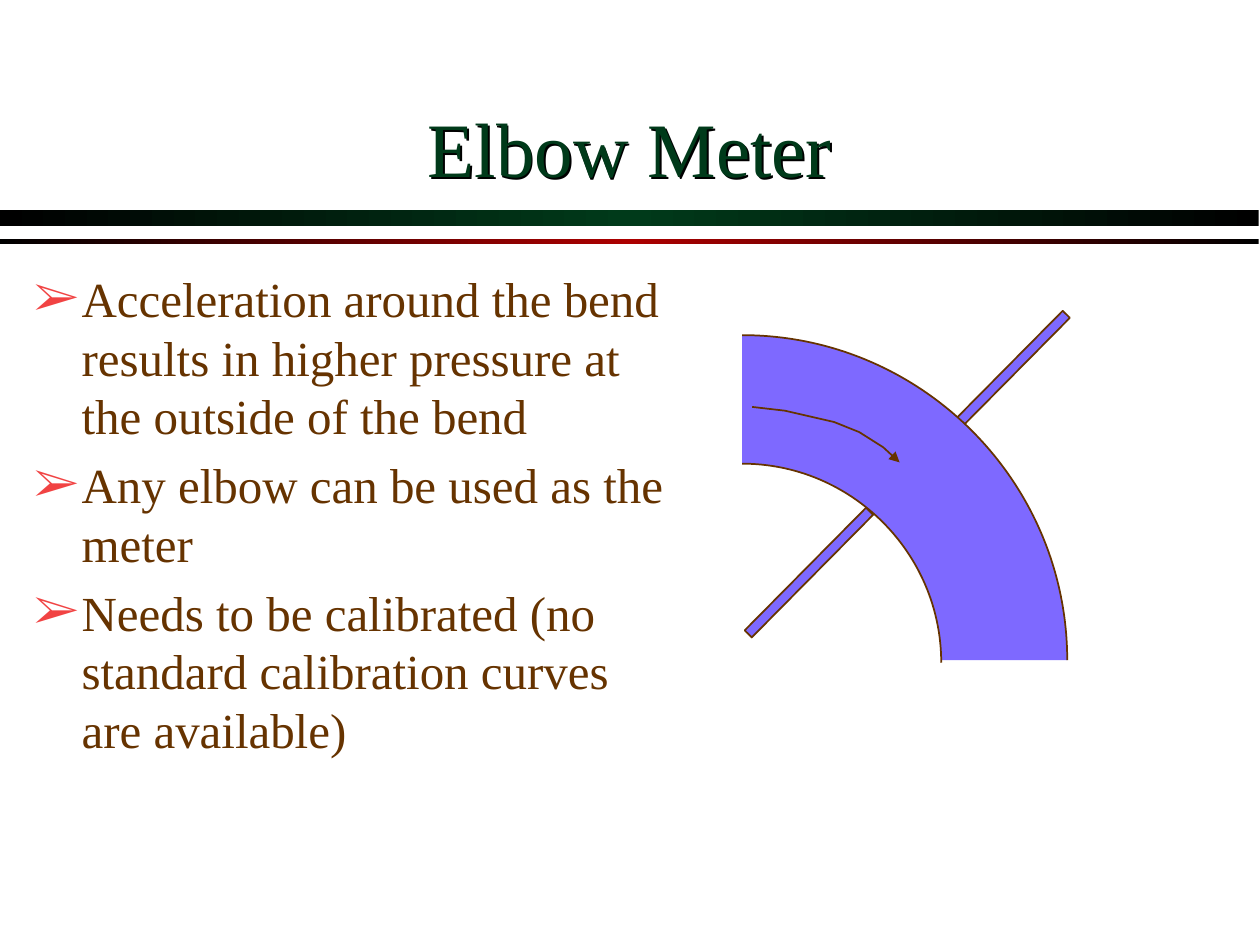
import copy
from lxml import etree
from pptx import Presentation, oxml, util as u
from pptx.dml import color
from pptx.enum import shapes, text
from pptx.oxml import ns

COLORS = {"green": "003A1A", "red": "AC0000", "black": "000000", "pipe": "7E69FF",
          "brown": "663300", "bullet": "F14343", "white": "FFFFFF"}
FONT = "Times New Roman"
FRAME = {"word_wrap": True, "margin_left": u.Inches(0.1), "margin_right": u.Inches(0.1),
         "margin_top": u.Inches(0.05), "margin_bottom": u.Inches(0.05)}


def rgb(name):
    return color.RGBColor.from_string(COLORS[name])


def style(shape, fill=None, line=None):
    shape.shadow.inherit = False
    if fill:
        shape.fill.solid()
        shape.fill.fore_color.rgb = rgb(fill)
    else:
        shape.fill.background()
    if line:
        shape.line.color.rgb = rgb(line)
        shape.line.width = u.Pt(1)
    else:
        shape.line.fill.background()


presentation = Presentation()
presentation.slide_width, presentation.slide_height = u.Inches(10), u.Inches(7.5)
slide = presentation.slides.add_slide(presentation.slide_layouts[5])

for top, height, middle in [(1.67, 0.12, "green"), (1.9, 0.04, "red")]:
    rule = slide.shapes.add_shape(shapes.MSO_SHAPE.RECTANGLE, 0, u.Inches(top),
                                  u.Inches(9.99), u.Inches(height))
    style(rule)
    rule.fill.gradient()
    rule.fill.gradient_angle = 0
    stop_list = rule._element.find(".//" + ns.qn("a:gsLst"))
    stop_list.insert(1, copy.deepcopy(stop_list[0]))
    for stop, position, name in zip(rule.fill.gradient_stops, (0, 0.5, 1),
                                    ("black", middle, "black")):
        stop.position = position
        stop.color.rgb = rgb(name)

taps = []
for left, top, length in [(7.22, 2, 3.42), (6.38, 3.86, 1.37)]:
    tap = slide.shapes.add_shape(shapes.MSO_SHAPE.RECTANGLE, u.Inches(left), u.Inches(top),
                                 u.Inches(0.08), u.Inches(length))
    tap.rotation = 44.7
    style(tap, "pipe", "brown")
    taps.append(tap)
inner_tap = taps[1]

left = u.Inches(5.89)
for top, radius, fill in [(2.66, 2.58, "pipe"), (3.68, 1.58, "white")]:
    top, radius = u.Inches(top), u.Inches(radius)
    builder = slide.shapes.build_freeform(left, top)
    builder.add_line_segments([(left + radius, top + radius), (left, top + radius)])
    sector = builder.convert_to_shape()
    style(sector, fill, "brown")
    area = sector._element.find(".//" + ns.qn("a:path"))
    curve = etree.Element(ns.qn("a:cubicBezTo"))
    for x, y in [(0.55, 0), (1, 0.45), (1, 1)]:
        etree.SubElement(curve, ns.qn("a:pt"), x=str(round(x * radius)), y=str(round(y * radius)))
    area.replace(area[1], curve)
    arc = copy.deepcopy(area)
    for edge in arc[-2:]:
        arc.remove(edge)
    arc.set("fill", "none")
    area.set("stroke", "0")
    area.addprevious(arc)

flow = [(5.97, 3.23), (6.23, 3.26), (6.62, 3.35), (6.82, 3.43), (7.01, 3.55), (7.14, 3.67)]
flow = [(u.Inches(x), u.Inches(y)) for x, y in flow]
builder = slide.shapes.build_freeform(*flow[0])
builder.add_line_segments(flow[1:], close=False)
arrow = builder.convert_to_shape()
style(arrow, line="brown")
etree.SubElement(arrow.line._get_or_add_ln(), ns.qn("a:tailEnd"), type="triangle")
slide.shapes._spTree.append(inner_tap._element)

title = slide.shapes.title
title.left, title.top, title.width, title.height = map(u.Inches, (0.75, 0.33, 8.5, 1.25))
body = slide.shapes.add_textbox(*map(u.Inches, (0.17, 2.08, 5.23, 4.5)))
for shape, anchor in [(title, text.MSO_ANCHOR.BOTTOM), (body, text.MSO_ANCHOR.TOP)]:
    for key, value in {**FRAME, "vertical_anchor": anchor}.items():
        setattr(shape.text_frame, key, value)

title.text_frame.text = "Elbow Meter"
paragraph = title.text_frame.paragraphs[0]
paragraph.alignment = text.PP_ALIGN.CENTER
run = paragraph.runs[0]
for key, value in {"size": u.Pt(44), "name": FONT}.items():
    setattr(run.font, key, value)
run.font.color.rgb = rgb("green")
title.fill.background()
title._element.spPr.append(oxml.parse_xml(
    f'<a:effectLst {ns.nsdecls("a")}><a:outerShdw dist="18000" dir="2700000">'
    f'<a:srgbClr val="{COLORS["black"]}"/></a:outerShdw></a:effectLst>'))

points = ["Acceleration around the bend results in higher pressure at the outside of the bend",
          "Any elbow can be used as the meter",
          "Needs to be calibrated (no standard calibration curves are available)"]
body.text_frame.text = "\n".join(points)
for index, paragraph in enumerate(body.text_frame.paragraphs):
    paragraph.space_before = u.Pt(5.6 if index else 0)
    properties = paragraph._p.get_or_add_pPr()
    properties.set("marL", str(u.Inches(0.38)))
    properties.set("indent", str(u.Inches(-0.38)))
    bullet_color = etree.SubElement(properties, ns.qn("a:buClr"))
    etree.SubElement(bullet_color, ns.qn("a:srgbClr"), val=COLORS["bullet"])
    etree.SubElement(properties, ns.qn("a:buFont"), typeface=FONT)
    etree.SubElement(properties, ns.qn("a:buChar"), char="➢")
    font = paragraph.runs[0].font
    for key, value in {"size": u.Pt(28), "name": FONT}.items():
        setattr(font, key, value)
    font.color.rgb = rgb("brown")

presentation.save("out.pptx")
